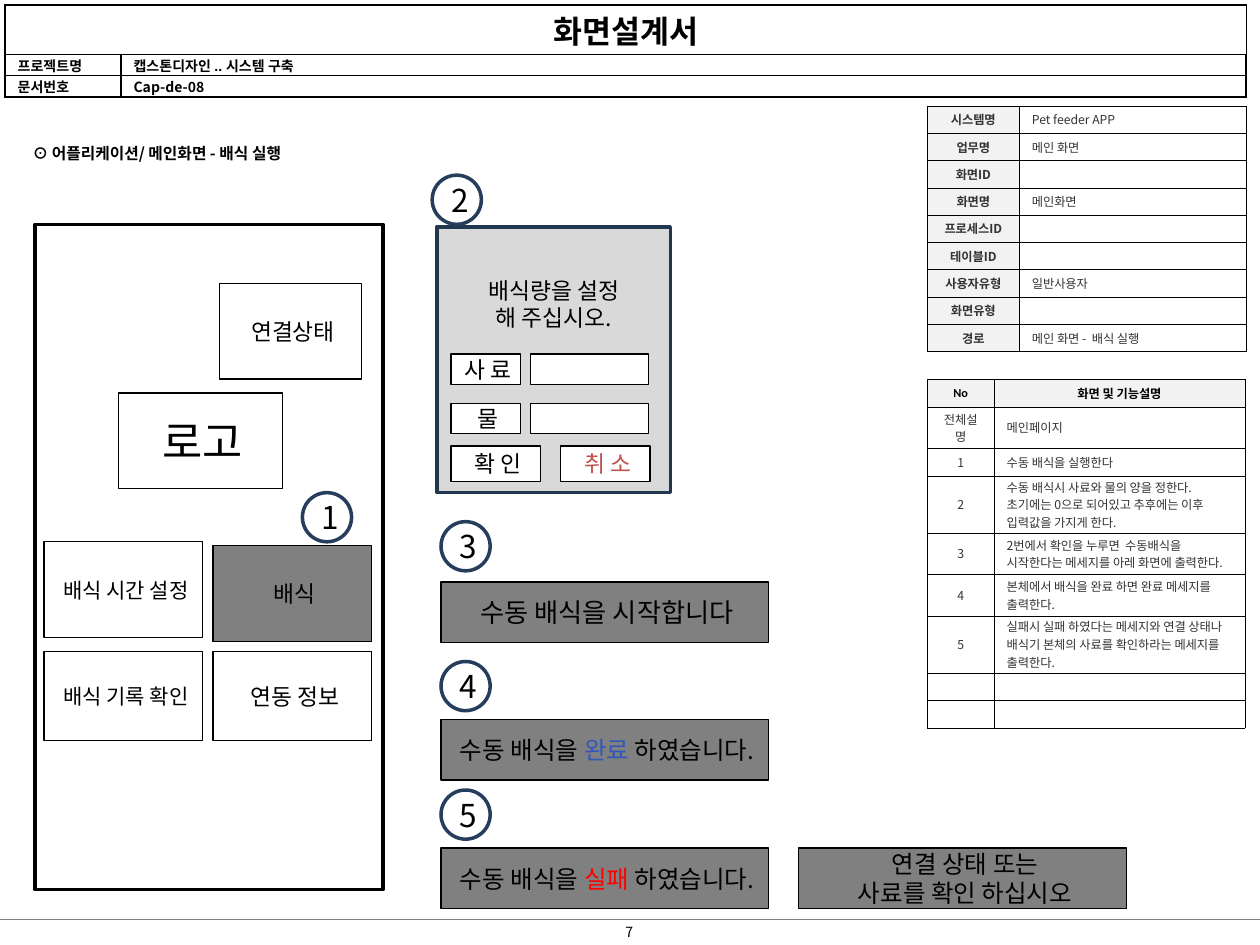
from dataclasses import dataclass

from lxml import etree
from pptx import Presentation
from pptx.dml.color import RGBColor
from pptx.enum.shapes import MSO_CONNECTOR, MSO_SHAPE
from pptx.enum.text import MSO_ANCHOR, PP_ALIGN
from pptx.oxml.ns import qn
from pptx.util import Inches, Pt

STRAIGHT = MSO_CONNECTOR.STRAIGHT
RECTANGLE, OVAL = MSO_SHAPE.RECTANGLE, MSO_SHAPE.OVAL
LEFT, CENTER = PP_ALIGN.LEFT, PP_ALIGN.CENTER
TOP, MIDDLE, BOTTOM = MSO_ANCHOR.TOP, MSO_ANCHOR.MIDDLE, MSO_ANCHOR.BOTTOM

BLACK = RGBColor(0x00, 0x00, 0x00)
WHITE = RGBColor(0xFF, 0xFF, 0xFF)
GRAY = RGBColor(0x80, 0x80, 0x80)
PANEL_GRAY = RGBColor(0xD9, 0xD9, 0xD9)
LABEL_GRAY = RGBColor(0xF2, 0xF2, 0xF2)
DARK_TEXT = RGBColor(0x33, 0x33, 0x33)
BADGE_NAVY = RGBColor(0x26, 0x3E, 0x5B)
PANEL_NAVY = RGBColor(0x21, 0x36, 0x4F)
CANCEL_RED = RGBColor(0xC0, 0x50, 0x4D)
DONE_BLUE = RGBColor(0x30, 0x57, 0xB9)
FAIL_RED = RGBColor(0xFF, 0x00, 0x00)

FONT = "Noto Sans CJK KR"


@dataclass
class Box:
    left: float
    top: float
    width: float
    height: float
    text: str = ""
    size: float = 13
    fill: RGBColor | None = WHITE
    color: RGBColor = BLACK
    accent: str = ""
    accent_color: RGBColor = BLACK


BUTTONS = [
    Box(0.94, 3.12, 1.3, 0.76, "로고", 25),
    Box(1.69, 4.33, 1.26, 0.76, "배식", fill=GRAY),
    Box(1.74, 2.25, 1.13, 0.76, "연결상태"),
    Box(1.69, 5.17, 1.26, 0.71, "연동 정보"),
    Box(0.35, 5.17, 1.26, 0.71, "배식 기록 확인", 12),
    Box(0.35, 4.3, 1.26, 0.76, "배식 시간 설정", 12),
]
DIALOG_FIELDS = [
    Box(4.21, 2.81, 0.94, 0.24),
    Box(4.21, 3.2, 0.94, 0.24),
    Box(3.58, 3.2, 0.55, 0.24, "물"),
    Box(3.58, 2.81, 0.55, 0.24, "사 료"),
    Box(3.58, 3.54, 0.71, 0.28, "확 인"),
    Box(4.45, 3.54, 0.71, 0.28, "취 소", color=CANCEL_RED),
]
MESSAGES = [
    Box(3.5, 4.62, 2.6, 0.48, "수동 배식을 시작합니다", 15, GRAY),
    Box(3.5, 5.71, 2.6, 0.48, "수동 배식을 완료 하였습니다.", 14, GRAY,
        accent="완료", accent_color=DONE_BLUE),
    Box(3.5, 6.73, 2.6, 0.48, "수동 배식을 실패 하였습니다.", 14, GRAY,
        accent="실패", accent_color=FAIL_RED),
    Box(6.34, 6.73, 2.6, 0.48, "연결 상태 또는\n사료를 확인 하십시오", 14, GRAY),
]
BADGES = [(2.4, 3.91), (3.43, 1.39), (3.5, 4.14), (3.5, 5.25), (3.5, 6.27)]

HEADER_ROWS = [("프로젝트명", "캡스톤디자인 .. 시스템 구축"), ("문서번호", "Cap-de-08")]
SCREEN_ROWS = [
    ("시스템명", "Pet feeder APP"), ("업무명", "메인 화면"), ("화면ID", ""),
    ("화면명", "메인화면"), ("프로세스ID", ""), ("테이블ID", ""),
    ("사용자유형", "일반사용자"), ("화면유형", ""), ("경로", "메인 화면 -  배식 실행"),
]
FUNCTION_ROWS = [
    ("No", "화면 및 기능설명"),
    ("전체설명", "메인페이지"),
    ("1", "수동 배식을 실행한다"),
    ("2", "수동 배식시 사료와 물의 양을 정한다.\n"
          "초기에는 0으로 되어있고 추후에는 이후 입력값을 가지게 한다."),
    ("3", "2번에서 확인을 누루면  수동배식을 시작한다는 메세지를 아레 화면에 출력한다."),
    ("4", "본체에서 배식을 완료 하면 완료 메세지를 출력한다."),
    ("5", "실패시 실패 하였다는 메세지와 연결 상태나 배식기 본체의 사료를 "
          "확인하라는 메세지를 출력한다."),
    ("", ""),
    ("", ""),
]
FUNCTION_HEIGHTS = [0.22, 0.33, 0.22, 0.45, 0.33, 0.33, 0.45, 0.22, 0.22]


def write(frame, text: str, *, size: float, color=BLACK, bold=False, font=FONT,
          align=CENTER, spacing=None, accent="", accent_color=BLACK) -> None:
    """Fill a text frame, one paragraph a line, with the accent word in its own colour."""
    for index, line in enumerate(text.split("\n")):
        para = frame.paragraphs[0] if index == 0 else frame.add_paragraph()
        para.alignment = align
        if spacing:
            para.line_spacing = Pt(spacing)
        before, found, after = line.partition(accent) if accent else (line, "", "")
        for part, part_color in ((before, color), (found, accent_color), (after, color)):
            if not part:
                continue
            span = para.add_run()
            span.text = part
            span.font.size, span.font.bold, span.font.name = Pt(size), bold, font
            span.font.color.rgb = part_color
            etree.SubElement(span.font._element, qn("a:ea")).set("typeface", FONT)
        if not line:
            para._p.get_or_add_endParaRPr().set("sz", str(int(size * 100)))


def set_margins(target, left: float, top: float, right: float, bottom: float) -> None:
    target.margin_left, target.margin_top = Inches(left), Inches(top)
    target.margin_right, target.margin_bottom = Inches(right), Inches(bottom)


def add_box(page, box: Box, *, kind=RECTANGLE, line=BLACK, weight=0.75, anchor=MIDDLE,
            margins=(0.08, 0, 0.04, 0), wrap=True) -> None:
    shape = page.shapes.add_shape(kind, Inches(box.left), Inches(box.top),
                                  Inches(box.width), Inches(box.height))
    shape.shadow.inherit = False
    if box.fill is None:
        shape.fill.background()
    else:
        shape.fill.solid()
        shape.fill.fore_color.rgb = box.fill
    shape.line.color.rgb, shape.line.width = line, Pt(weight)
    frame = shape.text_frame
    frame.word_wrap, frame.vertical_anchor = wrap, anchor
    set_margins(frame, *margins)
    if box.text:
        write(frame, box.text, size=box.size, color=box.color, accent=box.accent,
              accent_color=box.accent_color, spacing=box.size * 1.19 if "\n" in box.text else None)


def add_text(page, left: float, top: float, width: float, height: float, text: str,
             **style) -> None:
    frame = page.shapes.add_textbox(Inches(left), Inches(top), Inches(width),
                                    Inches(height)).text_frame
    frame.word_wrap = True
    write(frame, text, **style)


def set_borders(cell, weights: dict[str, float]) -> None:
    properties = cell._tc.get_or_add_tcPr()
    for index, (side, weight) in enumerate(weights.items()):
        edge = etree.Element(qn(f"a:{side}"), w=str(Pt(weight)))
        fill = etree.SubElement(edge, qn("a:solidFill"))
        etree.SubElement(fill, qn("a:srgbClr"), val=str(BLACK))
        properties.insert(index, edge)


def add_grid(page, left: float, top: float, widths: list[float], heights: list[float],
             outer=0.25, inner=0.25):
    grid = page.shapes.add_table(len(heights), len(widths), Inches(left), Inches(top),
                                 Inches(sum(widths)), Inches(sum(heights))).table
    grid.first_row = grid.horz_banding = False
    for column, width in zip(grid.columns, widths):
        column.width = Inches(width)
    for row, height in zip(grid.rows, heights):
        row.height = Inches(height)
    last_row, last_column = len(heights) - 1, len(widths) - 1
    for r in range(len(heights)):
        for c in range(len(widths)):
            set_borders(grid.cell(r, c), {
                "lnL": outer if c == 0 else inner, "lnR": outer if c == last_column else inner,
                "lnT": outer if r == 0 else inner, "lnB": outer if r == last_row else inner})
    return grid


def fill_cell(cell, text: str, *, fill=WHITE, anchor=MIDDLE, margin=0.01, **style) -> None:
    cell.fill.solid()
    cell.fill.fore_color.rgb = fill
    cell.vertical_anchor = anchor
    set_margins(cell, 0.1, margin, 0.1, margin)
    write(cell.text_frame, text, **style)


def add_header(page) -> None:
    grid = add_grid(page, 0.04, 0.04, [0.92, 8.93], [0.39, 0.17, 0.17], outer=1.5, inner=0.75)
    grid.cell(0, 0).merge(grid.cell(0, 1))
    fill_cell(grid.cell(0, 0), "화면설계서", size=18, bold=True)
    for r, row in enumerate(HEADER_ROWS, start=1):
        for c, text in enumerate(row):
            fill_cell(grid.cell(r, c), text, size=8, bold=True, align=LEFT, anchor=BOTTOM,
                      margin=0, font=FONT if text == "Cap-de-08" else "Arial")


def add_details(page) -> None:
    functions = add_grid(page, 7.36, 3.01, [0.53, 1.99], FUNCTION_HEIGHTS)
    for r, row in enumerate(FUNCTION_ROWS):
        for c, text in enumerate(row):
            if r == 0:
                fill_cell(functions.cell(r, c), text, fill=LABEL_GRAY, size=7, bold=True,
                          font=("Calibri", "Arial")[c])
            else:
                fill_cell(functions.cell(r, c), text, size=7, color=DARK_TEXT,
                          align=(CENTER, LEFT)[c])
    screen = add_grid(page, 7.36, 0.84, [0.73, 1.8], [1.95 / 9] * 9)
    for r, (label, value) in enumerate(SCREEN_ROWS):
        fill_cell(screen.cell(r, 0), label, fill=LABEL_GRAY, size=7, color=DARK_TEXT, bold=True)
        fill_cell(screen.cell(r, 1), value, size=7, color=DARK_TEXT, align=LEFT)


def main() -> None:
    deck = Presentation()
    deck.slide_width, deck.slide_height = Inches(10), Inches(7.5)
    page = deck.slides.add_slide(deck.slide_layouts[6])

    footer = page.shapes.add_connector(STRAIGHT, 0, Inches(7.3), Inches(10), Inches(7.3))
    footer.line.color.rgb, footer.line.width = GRAY, Pt(0.75)
    etree.SubElement(footer._element.spPr, qn("a:effectLst"))
    add_text(page, 4.72, 7.28, 0.55, 0.24, "7", size=8)
    add_header(page)
    add_details(page)
    add_text(page, 0.16, 1.09, 2.28, 0.24, "⊙ 어플리케이션/ 메인화면 - 배식 실행",
             size=9, bold=True, align=LEFT, spacing=10.9)

    for button in BUTTONS:
        add_box(page, button)
    add_box(page, Box(0.28, 1.78, 2.76, 5.28, fill=None), weight=2)
    add_box(page, Box(3.47, 1.8, 1.85, 2.11, "배식량을 설정\n해 주십시오.", fill=PANEL_GRAY),
            line=PANEL_NAVY, weight=2, anchor=TOP, margins=(0.1, 0.4, 0.1, 0.05))
    for box in DIALOG_FIELDS + MESSAGES:
        add_box(page, box)
    for number, (left, top) in enumerate(BADGES, start=1):
        add_box(page, Box(left, top, 0.39, 0.39, str(number), 18), kind=OVAL,
                line=BADGE_NAVY, weight=2, margins=(0.05, 0, 0, 0), wrap=False)
    deck.save("out.pptx")


if __name__ == "__main__":
    main()
